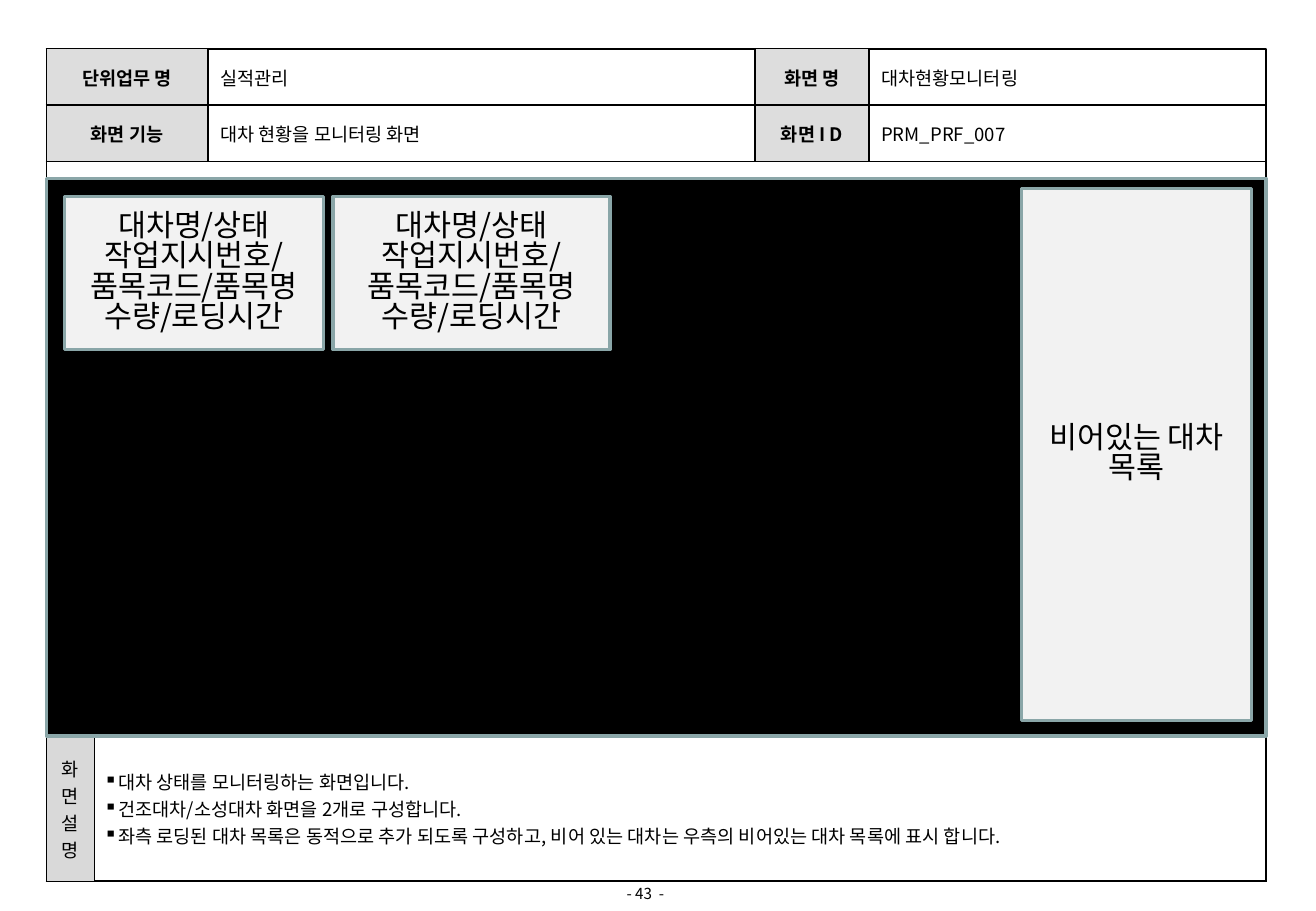
from lxml.etree import SubElement
from pptx import Presentation
from pptx.dml.color import RGBColor
from pptx.enum.shapes import MSO_SHAPE as SHAPE
from pptx.enum.text import MSO_ANCHOR as ANCHOR, PP_ALIGN as ALIGN
from pptx.oxml import parse_xml
from pptx.oxml.ns import nsdecls, qn
from pptx.util import Cm, Pt

FONT = "Noto Sans CJK KR"
BLACK = RGBColor(0x00, 0x00, 0x00)
LABEL = RGBColor(0xDD, 0xDD, 0xDD)
SIDE_LABEL = RGBColor(0xD9, 0xD9, 0xD9)
PANEL = RGBColor(0xF2, 0xF2, 0xF2)
TEAL = RGBColor(0x8A, 0xA6, 0xA8)
LEFT, WIDTH = Cm(0.97), Cm(25.5)


def write(tf, text, size, align=ALIGN.LEFT, bold=False):
    tf.text = text
    for p in tf.paragraphs:
        p.alignment = align
        for r in p.runs:
            r.font.size, r.font.bold, r.font.name = Pt(size), bold, FONT
            r.font.color.rgb = BLACK
            SubElement(r.font._element, qn("a:ea"), typeface=FONT)


def style_cell(cell, fill, margin_x, margin_y):
    """Set fill, margins and a thin black border on all four sides."""
    cell.vertical_anchor = ANCHOR.MIDDLE
    cell.margin_left = cell.margin_right = margin_x
    cell.margin_top = cell.margin_bottom = margin_y
    if fill is None:
        cell.fill.background()
    else:
        cell.fill.solid()
        cell.fill.fore_color.rgb = fill
    for i, side in enumerate(("lnL", "lnR", "lnT", "lnB")):
        cell._tc.tcPr.insert(i, parse_xml(
            f'<a:{side} {nsdecls("a")} w="12700"><a:solidFill>'
            f'<a:srgbClr val="{BLACK}"/></a:solidFill></a:{side}>'))


prs = Presentation()
prs.slide_width, prs.slide_height = Cm(27.51), Cm(19.05)
s = prs.slides.add_slide(prs.slide_layouts[6])

# Page frame and number
frame = s.shapes.add_shape(SHAPE.RECTANGLE, LEFT, Cm(1.02), WIDTH, Cm(17.4))
frame.shadow.inherit = False
frame.fill.background()
frame.line.color.rgb = BLACK
frame.line.width = Pt(1)

page = s.shapes.add_textbox(Cm(12.17), Cm(18.44), Cm(2.57), Cm(0.48))
page.text_frame.word_wrap = True
page.text_frame.vertical_anchor = ANCHOR.MIDDLE
write(page.text_frame, " - 43  -", 9, ALIGN.CENTER)

# Header table
header = [
    ["단위업무 명", "실적관리", "화면 명", "대차현황모니터링"],
    ["화면 기능", "대차 현황을 모니터링 화면", "화면 I D", "PRM_PRF_007"],
]
tbl = s.shapes.add_table(2, 4, LEFT, Cm(1.02), WIDTH, Cm(2.36)).table
tbl.first_row = tbl.horz_banding = False
for col, width in zip(tbl.columns, (3.38, 11.43, 2.39, 8.28)):
    col.width = Cm(width)
for y, row in enumerate(header):
    for x, text in enumerate(row):
        is_label = x % 2 == 0
        cell = tbl.cell(y, x)
        write(cell.text_frame, text, 11,
              ALIGN.CENTER if is_label else ALIGN.LEFT, is_label)
        style_cell(cell, LABEL if is_label else None, Cm(0.25), Cm(0.13))

# Description table
notes = [
    "대차 상태를 모니터링하는 화면입니다.",
    "건조대차/소성대차 화면을 2개로 구성합니다.",
    "좌측 로딩된 대차 목록은 동적으로 추가 되도록 구성하고, "
    "비어 있는 대차는 우측의 비어있는 대차 목록에 표시 합니다.",
]
tbl = s.shapes.add_table(1, 2, LEFT, Cm(15.39), WIDTH, Cm(3.04)).table
tbl.first_row = tbl.horz_banding = False
tbl.columns[0].width, tbl.columns[1].width = Cm(1), Cm(24.5)
title, body = tbl.cell(0, 0), tbl.cell(0, 1)
write(title.text_frame, "\n".join("화면설명"), 11, ALIGN.CENTER)
write(body.text_frame, "\n".join(notes), 11)
style_cell(title, SIDE_LABEL, Cm(0.2), Cm(0.18))
style_cell(body, None, Cm(0.2), Cm(0.18))
for p in body.text_frame.paragraphs:
    pPr = p._p.get_or_add_pPr()
    pPr.set("marL", str(Cm(0.3)))
    pPr.set("indent", str(-Cm(0.3)))
    SubElement(pPr, qn("a:buChar"), char="▪")

# Screen mock-up: left, top, width, height, fill, text
cart = "대차명/상태\n작업지시번호/\n품목코드/품목명\n수량/로딩시간"
panels = [
    (0.97, 3.73, 25.5, 11.66, BLACK, ""),
    (1.35, 4.11, 5.41, 3.2, PANEL, cart),
    (6.96, 4.11, 5.79, 3.2, PANEL, cart),
    (21.36, 3.94, 4.8, 11.13, PANEL, "비어있는 대차 목록"),
]
for *box, fill, text in panels:
    sp = s.shapes.add_shape(SHAPE.RECTANGLE, *map(Cm, box))
    sp.shadow.inherit = False
    sp.fill.solid()
    sp.fill.fore_color.rgb = fill
    sp.line.color.rgb = TEAL
    sp.line.width = Pt(2)
    if text:
        tf = sp.text_frame
        tf.word_wrap = True
        tf.vertical_anchor = ANCHOR.MIDDLE
        write(tf, text, 18, ALIGN.CENTER)
        for p in tf.paragraphs:
            p.line_spacing = 0.83

prs.save("out.pptx")
